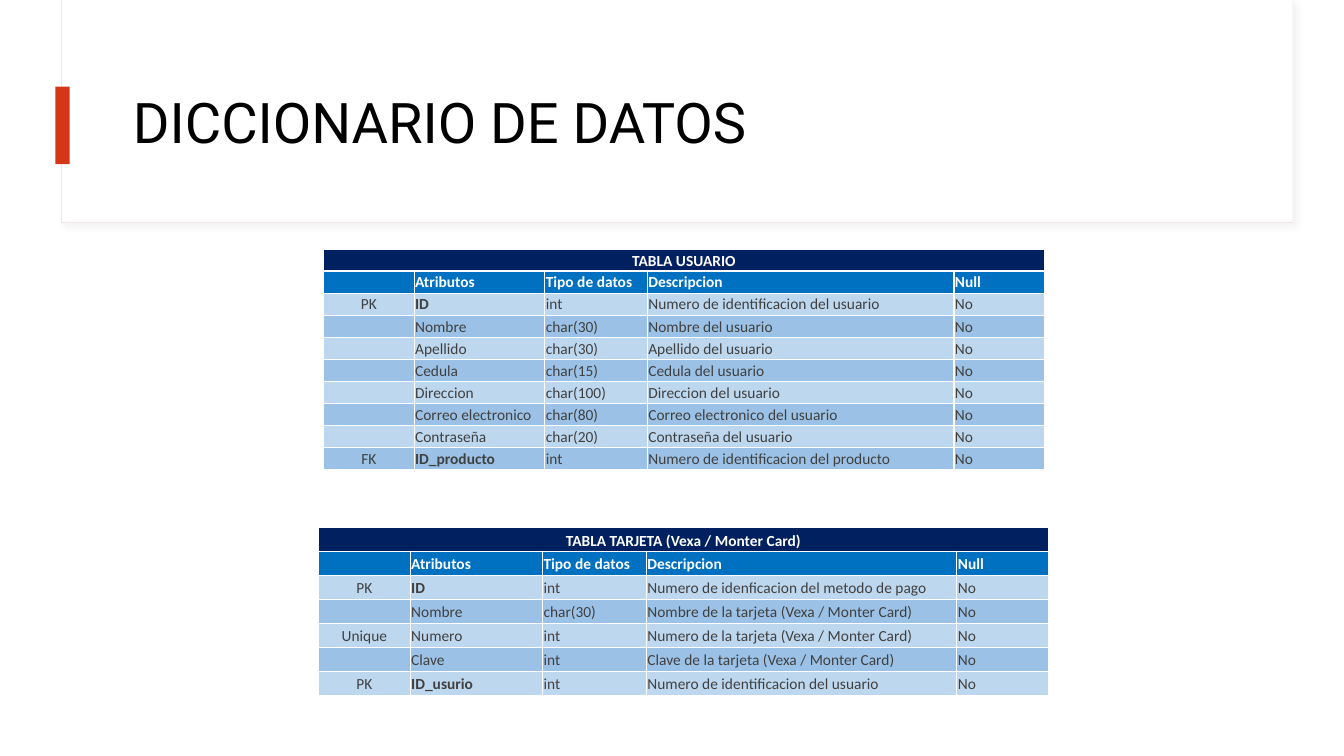
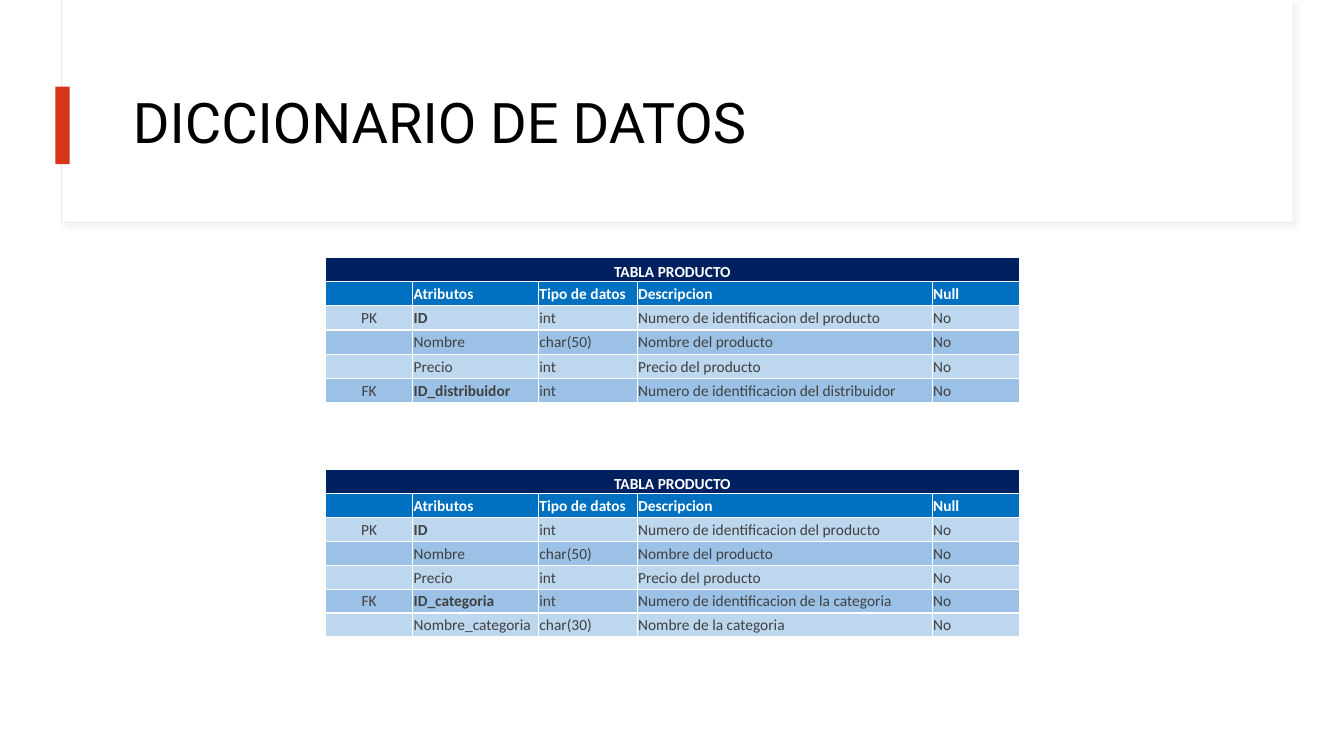
from dataclasses import dataclass

import lxml.etree
import pptx
import pptx.dml.color
import pptx.enum.shapes
import pptx.enum.text
import pptx.oxml.ns
import pptx.util

Inches = pptx.util.Inches
Pt = pptx.util.Pt
ALIGN = pptx.enum.text.PP_ALIGN
ANCHOR = pptx.enum.text.MSO_ANCHOR
qn = pptx.oxml.ns.qn


@dataclass(frozen=True)
class Theme:
    white: str = "FFFFFF"
    frame_line: str = "F0E7E5"
    frame_shadow: str = "D9D9D9"
    accent: str = "D53617"
    title_color: str = "000000"
    caption_fill: str = "002060"
    header_fill: str = "0070C0"
    band_fills: tuple = ("BDD7EE", "9BC2E6")
    body_color: str = "404040"
    title_font: str = "Roboto"
    title_size: int = 40
    table_font: str = "Calibri"
    table_size: int = 11


TITLE = "DICCIONARIO DE DATOS"
HEADERS = ("", "Atributos", "Tipo de datos", "Descripcion", "Null")
COLUMN_WEIGHTS = (0.9, 1.3, 1.02, 3.05, 0.9)

USER_ROWS = [
    ("PK", "ID", "int", "Numero de identificacion del usuario"),
    ("", "Nombre", "char(30)", "Nombre del usuario"),
    ("", "Apellido", "char(30)", "Apellido del usuario"),
    ("", "Cedula", "char(15)", "Cedula del usuario"),
    ("", "Direccion", "char(100)", "Direccion del usuario"),
    ("", "Correo electronico", "char(80)", "Correo electronico del usuario"),
    ("", "Contraseña", "char(20)", "Contraseña del usuario"),
    ("FK", "ID_producto", "int", "Numero de identificacion del producto"),
]
CARD_ROWS = [
    ("PK", "ID", "int", "Numero de idenficacion del metodo de pago"),
    ("", "Nombre", "char(30)", "Nombre de la tarjeta (Vexa / Monter Card)"),
    ("Unique", "Numero", "int", "Numero de la tarjeta (Vexa / Monter Card)"),
    ("", "Clave", "int", "Clave de la tarjeta (Vexa / Monter Card)"),
    ("PK", "ID_usurio", "int", "Numero de identificacion del usuario"),
]
PRODUCT_ROWS = [
    ("PK", "ID", "int", "Numero de identificacion del producto"),
    ("", "Nombre", "char(50)", "Nombre del producto"),
    ("", "Precio", "int", "Precio del producto"),
]
DISTRIBUTOR_ROWS = PRODUCT_ROWS + [
    ("FK", "ID_distribuidor", "int", "Numero de identificacion del distribuidor"),
]
CATEGORY_ROWS = PRODUCT_ROWS + [
    ("FK", "ID_categoria", "int", "Numero de identificacion de la categoria"),
    ("", "Nombre_categoria", "char(30)", "Nombre de la categoria"),
]

# Each table: caption, rows, (left, top, width, height) in inches.
SLIDES = [
    [
        ("TABLA USUARIO", USER_ROWS, (3.21, 2.47, 7.15, 2.19)),
        ("TABLA TARJETA (Vexa / Monter Card)", CARD_ROWS, (3.16, 5.23, 7.24, 1.67)),
    ],
    [
        ("TABLA PRODUCTO", DISTRIBUTOR_ROWS, (3.23, 2.55, 6.88, 1.45)),
        ("TABLA PRODUCTO", CATEGORY_ROWS, (3.23, 4.66, 6.88, 1.66)),
    ],
]


def rgb(color):
    return pptx.dml.color.RGBColor.from_string(color)


def apply_format(target, values):
    for name, value in values.items():
        setattr(target, name, value)


class DeckBuilder:
    def __init__(self, theme):
        self.theme = theme
        self.presentation = pptx.Presentation()
        self.presentation.slide_width = Inches(13.33)
        self.presentation.slide_height = Inches(7.5)
        self.slide = None

    def new_slide(self, title):
        layout = self.presentation.slide_layouts[6]
        self.slide = self.presentation.slides.add_slide(layout)
        frame = self.rectangle(0.61, 0, 12.21, 2.21, self.theme.white, self.theme.frame_line)
        self.soft_shadow(frame)
        self.rectangle(0.62, 0, 12.2, 2.2, self.theme.white)
        self.rectangle(0.55, 0.86, 0.14, 0.77, self.theme.accent)
        self.title(title)

    def rectangle(self, left, top, width, height, fill, line=None):
        shape = self.slide.shapes.add_shape(
            pptx.enum.shapes.MSO_SHAPE.RECTANGLE,
            Inches(left), Inches(top), Inches(width), Inches(height))
        shape.shadow.inherit = False
        shape.fill.solid()
        shape.fill.fore_color.rgb = rgb(fill)
        if line:
            shape.line.color.rgb = rgb(line)
            shape.line.width = Pt(0.75)
        else:
            shape.line.fill.background()
        return shape

    def soft_shadow(self, shape):
        effects = shape._element.spPr.find(qn("a:effectLst"))
        shadow = lxml.etree.SubElement(
            effects, qn("a:outerShdw"), blurRad=str(Pt(4)), dist=str(Pt(3)),
            dir=str(45 * 60000), algn="tl", rotWithShape="0")
        color = lxml.etree.SubElement(shadow, qn("a:srgbClr"), val=self.theme.frame_shadow)
        lxml.etree.SubElement(color, qn("a:alpha"), val="30000")

    def title(self, text):
        box = self.slide.shapes.add_textbox(
            Inches(1.22), Inches(0.6), Inches(11.12), Inches(1.29))
        apply_format(box.text_frame, {"word_wrap": True, "vertical_anchor": ANCHOR.MIDDLE})
        paragraph = box.text_frame.paragraphs[0]
        paragraph.line_spacing = 0.9
        self.add_text(paragraph, text, self.theme.title_font, self.theme.title_size,
                      self.theme.title_color)

    def add_text(self, paragraph, text, font, size, color, bold=False):
        run = paragraph.add_run()
        run.text = text
        apply_format(run.font, {"name": font, "size": Pt(size), "bold": bold})
        run.font.color.rgb = rgb(color)

    def table(self, caption, rows, box):
        left, top, width, height = map(Inches, box)
        records = [(caption, "", "", "", ""), HEADERS] + [row + ("No",) for row in rows]
        graphic = self.slide.shapes.add_table(
            len(records), len(HEADERS), left, top, width, height)
        table = graphic.table
        for column, weight in zip(table.columns, COLUMN_WEIGHTS):
            column.width = int(width * weight / sum(COLUMN_WEIGHTS))
        for row in table.rows:
            row.height = int(height / len(records))
        table.cell(0, 0).merge(table.cell(0, len(HEADERS) - 1))

        heading_fills = (self.theme.caption_fill, self.theme.header_fill)
        for row_index, record in enumerate(records):
            heading = row_index < 2
            fills = heading_fills if heading else self.theme.band_fills
            for column_index, text in enumerate(record):
                bold = heading or (column_index == 1 and text.startswith("ID"))
                self.cell(
                    table.cell(row_index, column_index), text, fills[row_index % 2],
                    self.theme.white if heading else self.theme.body_color, bold,
                    ALIGN.CENTER if column_index == 0 else ALIGN.LEFT,
                    ANCHOR.BOTTOM if row_index == 0 else ANCHOR.MIDDLE)

    def cell(self, cell, text, fill, color, bold, alignment, anchor):
        apply_format(cell, {
            "margin_left": Inches(0.01), "margin_top": Inches(0.01),
            "margin_right": Inches(0.01), "margin_bottom": 0,
            "vertical_anchor": anchor,
        })
        cell.fill.solid()
        cell.fill.fore_color.rgb = rgb(fill)
        paragraph = cell.text_frame.paragraphs[0]
        paragraph.alignment = alignment
        if text:
            self.add_text(paragraph, text, self.theme.table_font, self.theme.table_size,
                          color, bold)
        else:
            # An empty cell needs its own type size, or it stretches the row.
            lxml.etree.SubElement(paragraph._p, qn("a:endParaRPr"),
                                  sz=str(self.theme.table_size * 100))


def main():
    deck = DeckBuilder(Theme())
    for tables in SLIDES:
        deck.new_slide(TITLE)
        for caption, rows, box in tables:
            deck.table(caption, rows, box)
    deck.presentation.save("out.pptx")


if __name__ == "__main__":
    main()
